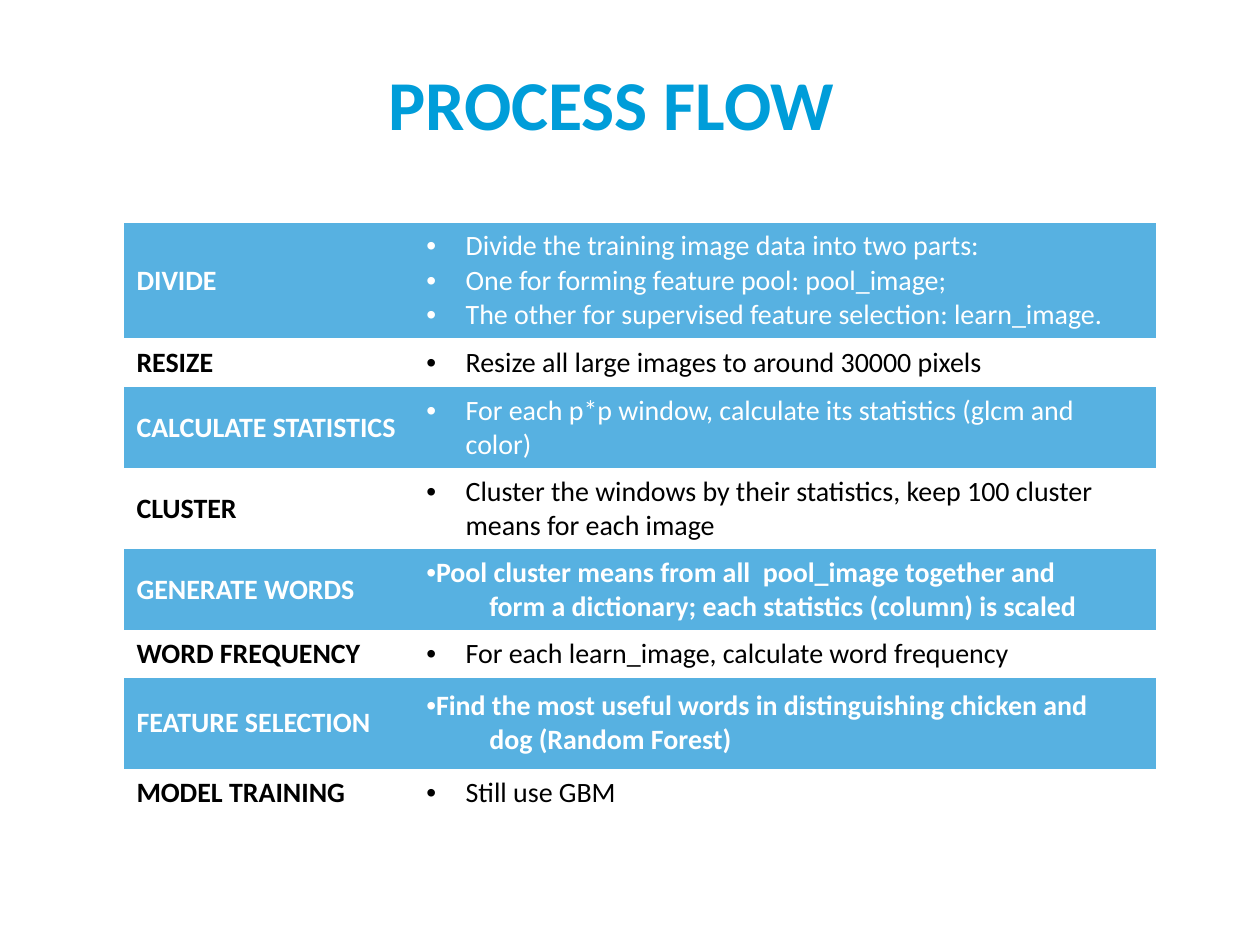
"""Build the process flow slide with its table of steps."""
from lxml.etree import SubElement
from pptx import Presentation
from pptx.dml.color import RGBColor
from pptx.enum.text import MSO_ANCHOR as Anchor, PP_ALIGN as Align
from pptx.oxml.ns import qn
from pptx.util import Pt

TITLE = "PROCESS FLOW"
FONT = "Calibri"
BLUE, BAND, WHITE, BLACK = "009DD9", "57B1E1", "FFFFFF", "000000"
NO_STYLE = "{2D5ABB26-0587-4C30-8999-92F81FD0307C}"
HANG = 22.5
COLUMN_WIDTHS = (165.6, 424.1)

# Each detail is a (kind, text) pair.
STEPS = [
    ("DIVIDE", 65.8, [
        ("bullet", "Divide the training image data into two parts:"),
        ("bullet", "One for forming feature pool: pool_image;"),
        ("bullet", "The other for supervised feature selection: learn_image."),
    ]),
    ("RESIZE", 28, [("bullet", "Resize all large images to around 30000 pixels")]),
    ("CALCULATE STATISTICS", 46.3, [
        ("bullet", "For each p*p window, calculate its statistics (glcm and color)"),
    ]),
    ("CLUSTER", 46.3, [
        ("bullet", "Cluster the windows by their statistics, keep 100 cluster means for each image"),
    ]),
    ("GENERATE WORDS", 46.3, [
        ("lead", "Pool cluster means from all  pool_image together and"),
        ("follow", "form a dictionary; each statistics (column) is scaled"),
    ]),
    ("WORD FREQUENCY", 27.4, [("bullet", "For each learn_image, calculate word frequency")]),
    ("FEATURE SELECTION", 51.8, [
        ("lead", "Find the most useful words in distinguishing chicken and"),
        ("follow", "dog (Random Forest)"),
    ]),
    ("MODEL TRAINING", 27.4, [("bullet", "Still use GBM")]),
]
INDENTS = {"label": (0, 0), "bullet": (HANG, -HANG), "lead": (0, -HANG), "follow": (36, 0)}


def color(value):
    return RGBColor.from_string(value)


def style_font(paragraph, size, value, bold):
    font = paragraph.font
    font.name, font.size, font.bold = FONT, Pt(size), bold
    font.color.rgb = color(value)


def fill_cell(cell, entries, banded):
    cell.vertical_anchor = Anchor.MIDDLE
    if banded:
        cell.fill.solid()
        cell.fill.fore_color.rgb = color(BAND)
    else:
        cell.fill.background()
    frame = cell.text_frame
    for index, (kind, text) in enumerate(entries):
        paragraph = frame.add_paragraph() if index else frame.paragraphs[0]
        paragraph.text = text
        paragraph.level = 1 if kind == "follow" else 0
        margin, indent = INDENTS[kind]
        properties = paragraph._p.get_or_add_pPr()
        properties.set("marL", str(Pt(margin)))
        properties.set("indent", str(Pt(indent)))
        if kind in ("bullet", "lead"):
            SubElement(properties, qn("a:buFont")).set("typeface", "Arial")
            SubElement(properties, qn("a:buChar")).set("char", "•")
        style_font(paragraph, 16, WHITE if banded else BLACK, kind != "bullet")


def add_title(slide):
    box = slide.shapes.add_textbox(Pt(25.2), Pt(31.7), Pt(648), Pt(51.1))
    frame = box.text_frame
    frame.word_wrap = True
    frame.margin_top = frame.margin_bottom = 0
    frame.vertical_anchor = Anchor.BOTTOM
    paragraph = frame.paragraphs[0]
    paragraph.text = TITLE
    paragraph.alignment = Align.CENTER
    style_font(paragraph, 40, BLUE, True)


def add_steps(slide):
    height = sum(step[1] for step in STEPS)
    table = slide.shapes.add_table(
        len(STEPS), 2, Pt(70.8), Pt(127.4), Pt(sum(COLUMN_WIDTHS)), Pt(height)
    ).table
    table.first_row = table.horz_banding = False
    table._tbl.tblPr.find(qn("a:tableStyleId")).text = NO_STYLE
    for column, width in zip(table.columns, COLUMN_WIDTHS):
        column.width = Pt(width)
    for index, (label, row_height, details) in enumerate(STEPS):
        table.rows[index].height = Pt(row_height)
        banded = index % 2 == 0
        fill_cell(table.cell(index, 0), [("label", label)], banded)
        fill_cell(table.cell(index, 1), details, banded)


def main():
    presentation = Presentation()
    presentation.slide_width, presentation.slide_height = Pt(720), Pt(540)
    slide = presentation.slides.add_slide(presentation.slide_layouts[6])
    add_title(slide)
    add_steps(slide)
    presentation.save("out.pptx")


if __name__ == "__main__":
    main()
